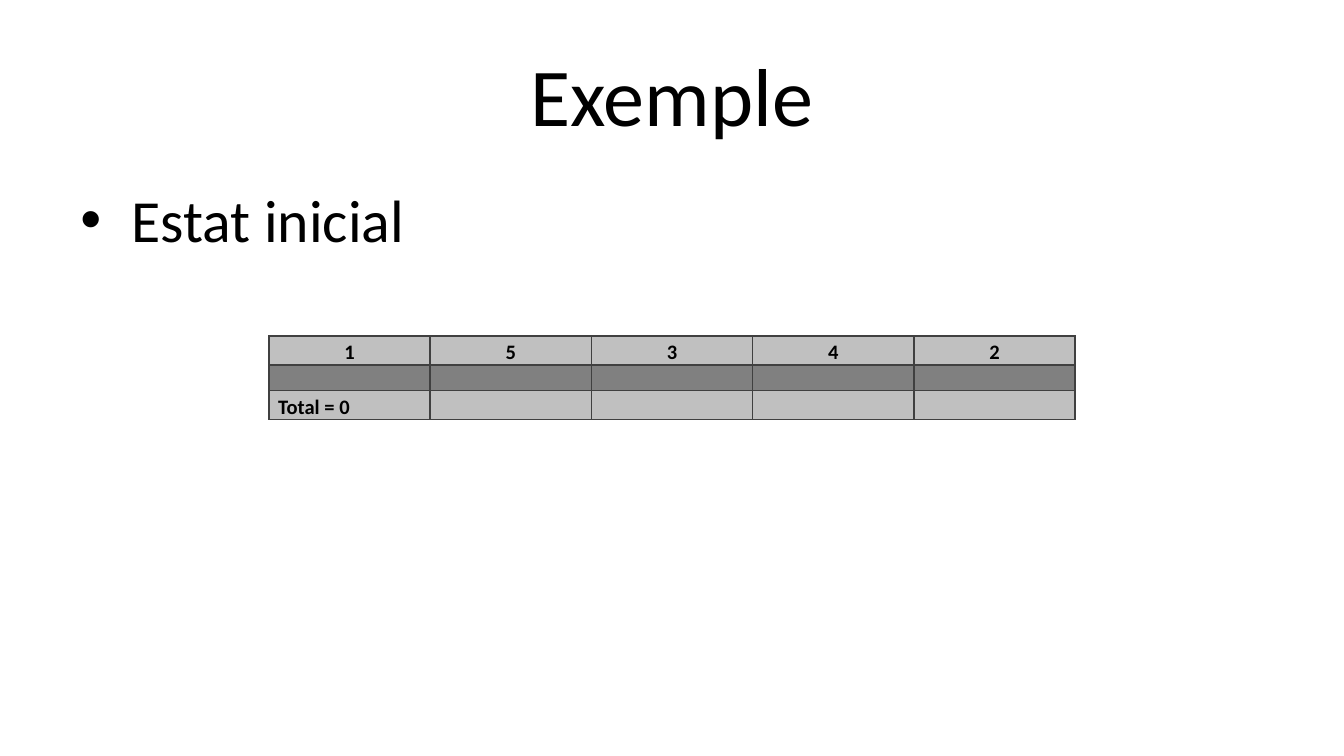
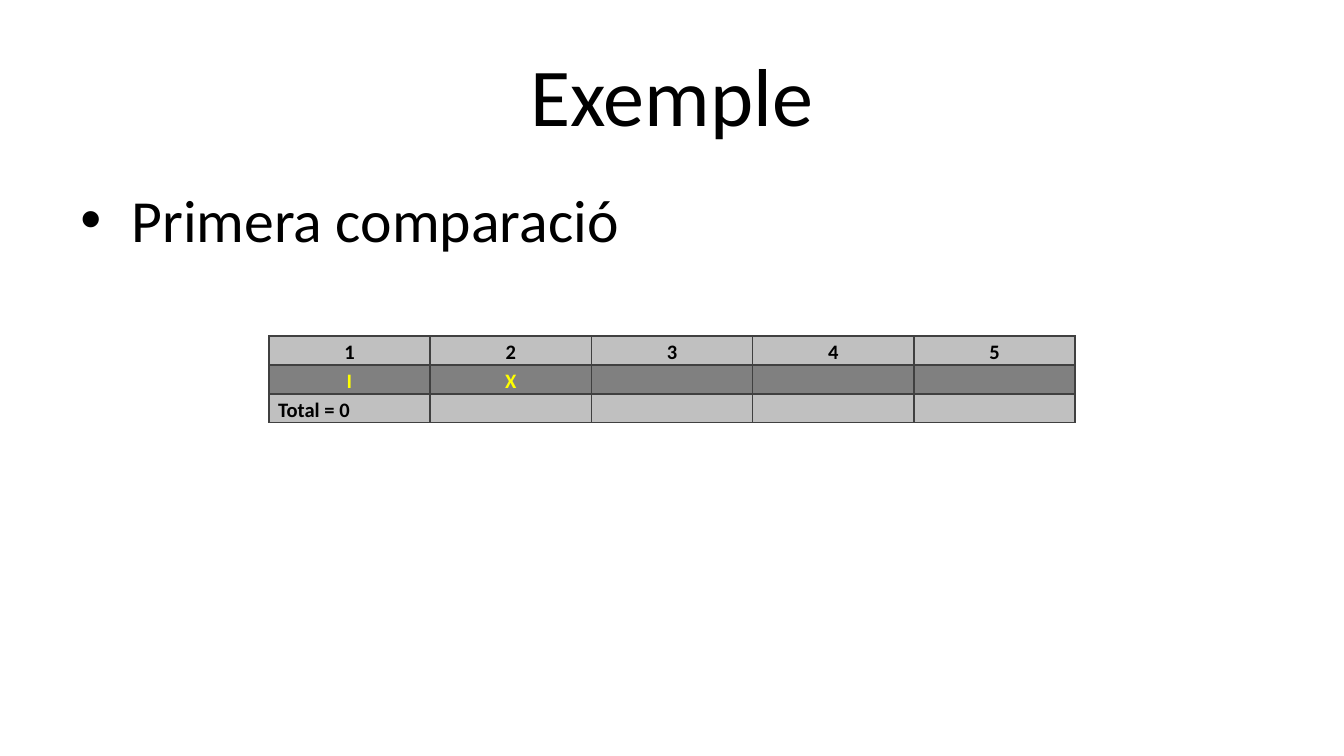
"""Build two slides that follow a sorting example step by step."""
from dataclasses import dataclass

from lxml.etree import SubElement
from pptx import Presentation
from pptx.dml.color import RGBColor as Color
from pptx.enum.text import MSO_ANCHOR as Anchor, PP_ALIGN as Align
from pptx.oxml.ns import qn
from pptx.util import Inches, Pt

WIDTH = Inches(10)
HEIGHT = WIDTH * 9 // 16
TITLE_ONLY = 5


@dataclass(frozen=True)
class Theme:
    font: str = "Calibri"
    title_size: int = 44
    body_size: int = 32
    cell_size: int = 11
    text: str = "000000"
    mark: str = "FFFF00"
    light: str = "C0C0C0"
    dark: str = "808080"
    border: str = "404040"


THEME = Theme()

STEPS = [
    ("Estat inicial", ["1", "5", "3", "4", "2"], [], "Total = 0"),
    ("Primera comparació", ["1", "2", "3", "4", "5"], ["I", "X"], "Total = 0"),
]


def area(left, top, width, height):
    return (round(left * WIDTH), round(top * HEIGHT),
            round(width * WIDTH), round(height * HEIGHT))


def style(paragraph, size, color=THEME.text, bold=False, align=Align.LEFT):
    paragraph.alignment = align
    font = paragraph.font
    font.name, font.size, font.bold = THEME.font, Pt(size), bold
    font.color.rgb = Color.from_string(color)


def add_title(slide, text):
    title = slide.shapes.title
    title.left, title.top, title.width, title.height = area(0.05, 0.04, 0.9, 1 / 6)
    frame = title.text_frame
    frame.text = text
    frame.vertical_anchor = Anchor.MIDDLE
    style(frame.paragraphs[0], THEME.title_size, align=Align.CENTER)


def add_bullet(slide, text):
    frame = slide.shapes.add_textbox(*area(0.05, 7 / 30, 0.9, 0.66)).text_frame
    frame.word_wrap = True
    paragraph = frame.paragraphs[0]
    paragraph.text = text
    properties = paragraph._p.get_or_add_pPr()
    indent = Inches(0.38)
    properties.set("marL", str(indent))
    properties.set("indent", str(-indent))
    SubElement(properties, qn("a:buFont"), typeface="Arial")
    SubElement(properties, qn("a:buChar"), char="•")
    style(paragraph, THEME.body_size)


def add_borders(cell):
    properties = cell._tc.get_or_add_tcPr()
    for side in ("L", "R", "T", "B"):
        line = SubElement(properties, qn(f"a:ln{side}"), w=str(Pt(1)))
        fill = SubElement(line, qn("a:solidFill"))
        SubElement(fill, qn("a:srgbClr"), val=THEME.border)


def fill_cell(cell, text, fill, color, align):
    add_borders(cell)
    cell.fill.solid()
    cell.fill.fore_color.rgb = Color.from_string(fill)
    cell.margin_left = cell.margin_right = Inches(0.07)
    cell.margin_top = cell.margin_bottom = 0
    paragraph = cell.text_frame.paragraphs[0]
    if text:
        paragraph.text = text
        paragraph.line_spacing = 1.15
        style(paragraph, THEME.cell_size, color, True, align)
    else:
        end = SubElement(paragraph._p, qn("a:endParaRPr"), sz=str(THEME.cell_size * 100))
        SubElement(end, qn("a:latin"), typeface=THEME.font)


def add_array(slide, values, marks, total):
    rows = [
        (values, THEME.light, THEME.text, Align.CENTER),
        (marks, THEME.dark, THEME.mark, Align.CENTER),
        ([total], THEME.light, THEME.text, Align.LEFT),
    ]
    columns = len(values)
    frame = slide.shapes.add_table(len(rows), columns, *area(0.2, 4 / 9, 0.6, 0.11))
    table = frame.table
    table.first_row = table.horz_banding = False
    for row, (texts, fill, color, align) in enumerate(rows):
        table.rows[row].height = Pt(15.5 if texts else 13.8)
        for column in range(columns):
            text = texts[column] if column < len(texts) else ""
            fill_cell(table.cell(row, column), text, fill, color, align)


def main():
    presentation = Presentation()
    presentation.slide_width, presentation.slide_height = WIDTH, HEIGHT
    for caption, values, marks, total in STEPS:
        slide = presentation.slides.add_slide(presentation.slide_layouts[TITLE_ONLY])
        add_title(slide, "Exemple")
        add_bullet(slide, caption)
        add_array(slide, values, marks, total)
    presentation.save("out.pptx")


if __name__ == "__main__":
    main()
